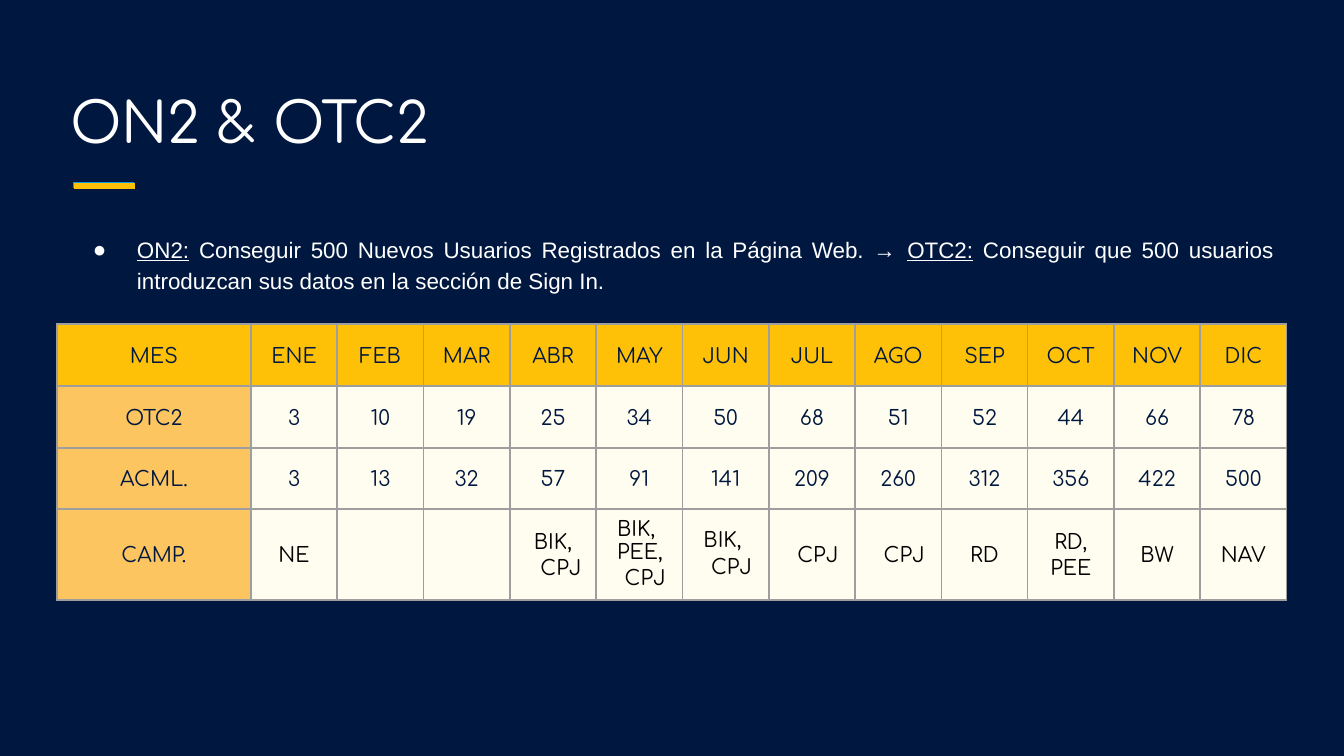
import dataclasses
import typing

import lxml.etree
import pptx
import pptx.dml.color
import pptx.enum.shapes
import pptx.enum.text
import pptx.oxml.ns
import pptx.util

RGB = pptx.dml.color.RGBColor
NAVY = RGB(0x00, 0x18, 0x40)
WHITE = RGB(0xFF, 0xFF, 0xFF)
BLACK = RGB(0x00, 0x00, 0x00)
BLUE = RGB(0x03, 0x9B, 0xE5)
GOLD = RGB(0xFF, 0xC1, 0x07)
SAND = RGB(0xFD, 0xC5, 0x5F)
CREAM = RGB(0xFF, 0xFD, 0xF0)
GREY = RGB(0x9E, 0x9E, 0x9E)

ALIGN = pptx.enum.text.PP_ALIGN
ANCHOR = pptx.enum.text.MSO_ANCHOR
SCALE = 914400 / 134.4  # EMU in one px


@dataclasses.dataclass
class Line:
    text: str
    shift: int = 0  # left margin in px
    left: bool = False


@dataclasses.dataclass
class Rule:
    start: int
    end: int
    y: int
    color: RGB


RULES = [Rule(73, 134, 185, BLUE), Rule(74, 135, 186, GOLD)]

MONTHS = "ENE FEB MAR ABR MAY JUN JUL AGO SEP OCT NOV DIC".split()
USERS = [3, 10, 19, 25, 34, 50, 68, 51, 52, 44, 66, 78]
TOTALS = [3, 13, 32, 57, 91, 141, 209, 260, 312, 356, 422, 500]
CPJ = Line("CPJ", 12)
BIK = Line("BIK,", 12, True)
PLANS = [
    [Line("NE")], [], [],
    [Line("BIK,"), Line("CPJ", 16)],
    [BIK, Line("PEE,", 12, True), CPJ],
    [BIK, CPJ], [CPJ], [CPJ],
    [Line("RD")], [Line("RD,"), Line("PEE")], [Line("BW")], [Line("NAV")],
]
HEIGHTS = [62, 62, 61, 91]

BODY = [
    ("ON2:", True),
    (" Conseguir 500 Nuevos Usuarios Registrados en la Página Web. → ", False),
    ("OTC2:", True),
    (" Conseguir que 500 usuarios introduzcan sus datos en la sección de Sign In.", False),
]


def px(size: float) -> int:
    return round(size * SCALE)


def add_xml(node: typing.Any, tag: str, **attrs: str) -> typing.Any:
    return lxml.etree.SubElement(node, pptx.oxml.ns.qn(tag), **attrs)


def style(font: typing.Any, face: str, size: int, color: RGB) -> None:
    font.name = face
    font.size = pptx.util.Pt(size)
    font.bold = False
    font.color.rgb = color


def place(shape: typing.Any, x: int, y: int, wide: int, high: int) -> None:
    shape.left, shape.top = px(x), px(y)
    shape.width, shape.height = px(wide), px(high)
    frame = shape.text_frame
    frame.auto_size = pptx.enum.text.MSO_AUTO_SIZE.NONE
    frame.word_wrap = True
    frame.margin_left = frame.margin_right = px(13)
    frame.margin_top = frame.margin_bottom = px(13)


def draw_rule(slide: typing.Any, rule: Rule) -> None:
    line = slide.shapes.add_connector(
        pptx.enum.shapes.MSO_CONNECTOR.STRAIGHT,
        px(rule.start), px(rule.y), px(rule.end), px(rule.y))
    line.line.color.rgb = rule.color
    line.line.width = pptx.util.Pt(3)
    add_xml(line._element.spPr, "a:effectLst")


def fill_title(title: typing.Any) -> None:
    place(title, 57, 67, 1230, 101)
    frame = title.text_frame
    frame.text = "ON2 & OTC2"
    frame.vertical_anchor = ANCHOR.BOTTOM
    frame.paragraphs[0].alignment = ALIGN.LEFT
    style(frame.paragraphs[0].runs[0].font, "Comfortaa", 30, WHITE)


def fill_body(body: typing.Any) -> None:
    place(body, 57, 219, 1230, 453)
    body.text_frame.vertical_anchor = ANCHOR.TOP
    para = body.text_frame.paragraphs[0]
    para.alignment = ALIGN.JUSTIFY
    para.line_spacing = 1.15
    para.space_before = pptx.util.Pt(0)
    props = para._p.get_or_add_pPr()
    props.set("marL", str(px(67)))
    props.set("indent", str(-px(44)))
    add_xml(add_xml(props, "a:buClr"), "a:srgbClr", val=str(WHITE))
    add_xml(props, "a:buFont", typeface="Arial")
    add_xml(props, "a:buChar", char="●")
    for text, under in BODY:
        run = para.add_run()
        run.text = text
        style(run.font, "Arial", 12, WHITE)
        run.font.underline = under


def fill_cell(cell: typing.Any, lines: list[Line], back: RGB, ink: RGB) -> None:
    cell.margin_left = cell.margin_right = px(9)
    cell.margin_top = cell.margin_bottom = px(9)
    cell.vertical_anchor = ANCHOR.MIDDLE
    # Borders come before the fill
    props = cell._tc.get_or_add_tcPr()
    for side in ("a:lnL", "a:lnR", "a:lnT", "a:lnB"):
        edge = add_xml(props, side, w=str(pptx.util.Pt(1)))
        add_xml(add_xml(edge, "a:solidFill"), "a:srgbClr", val=str(GREY))
    cell.fill.solid()
    cell.fill.fore_color.rgb = back
    cell.text_frame.text = "\n".join(line.text for line in lines)
    for line, para in zip(lines, cell.text_frame.paragraphs):
        para.alignment = ALIGN.LEFT if line.left else ALIGN.CENTER
        para.line_spacing = 1.0 if line.left else 1.15
        if line.shift:
            para._p.get_or_add_pPr().set("marL", str(px(line.shift)))
        style(para.runs[0].font, "Comfortaa", 11, ink)


def draw_table(slide: typing.Any) -> None:
    rows = [[[Line(str(item))] for item in row] for row in (
        ["MES", *MONTHS], ["OTC2", *USERS], ["ACML.", *TOTALS])]
    rows.append([[Line("CAMP.")], *PLANS])
    table = slide.shapes.add_table(
        len(rows), len(rows[0]), px(57), px(324), px(1230), px(sum(HEIGHTS))).table
    table.first_row = table.horz_banding = False
    for col, column in enumerate(table.columns):
        column.width = px(1036 / len(MONTHS)) if col else px(194)
    for row, cells in enumerate(rows):
        table.rows[row].height = px(HEIGHTS[row])
        for col, lines in enumerate(cells):
            back = GOLD if row == 0 else CREAM if col else SAND
            ink = BLACK if row == 3 and col else NAVY
            fill_cell(table.cell(row, col), lines, back, ink)


def main() -> None:
    deck = pptx.Presentation()
    deck.slide_width, deck.slide_height = px(1344), px(756)
    slide = deck.slides.add_slide(deck.slide_layouts[1])
    slide.background.fill.solid()
    slide.background.fill.fore_color.rgb = NAVY

    # Heading with its accent rule
    fill_title(slide.shapes.title)
    for rule in RULES:
        draw_rule(slide, rule)

    # Goal and monthly plan
    fill_body(slide.placeholders[1])
    draw_table(slide)
    deck.save("out.pptx")


if __name__ == "__main__":
    main()
